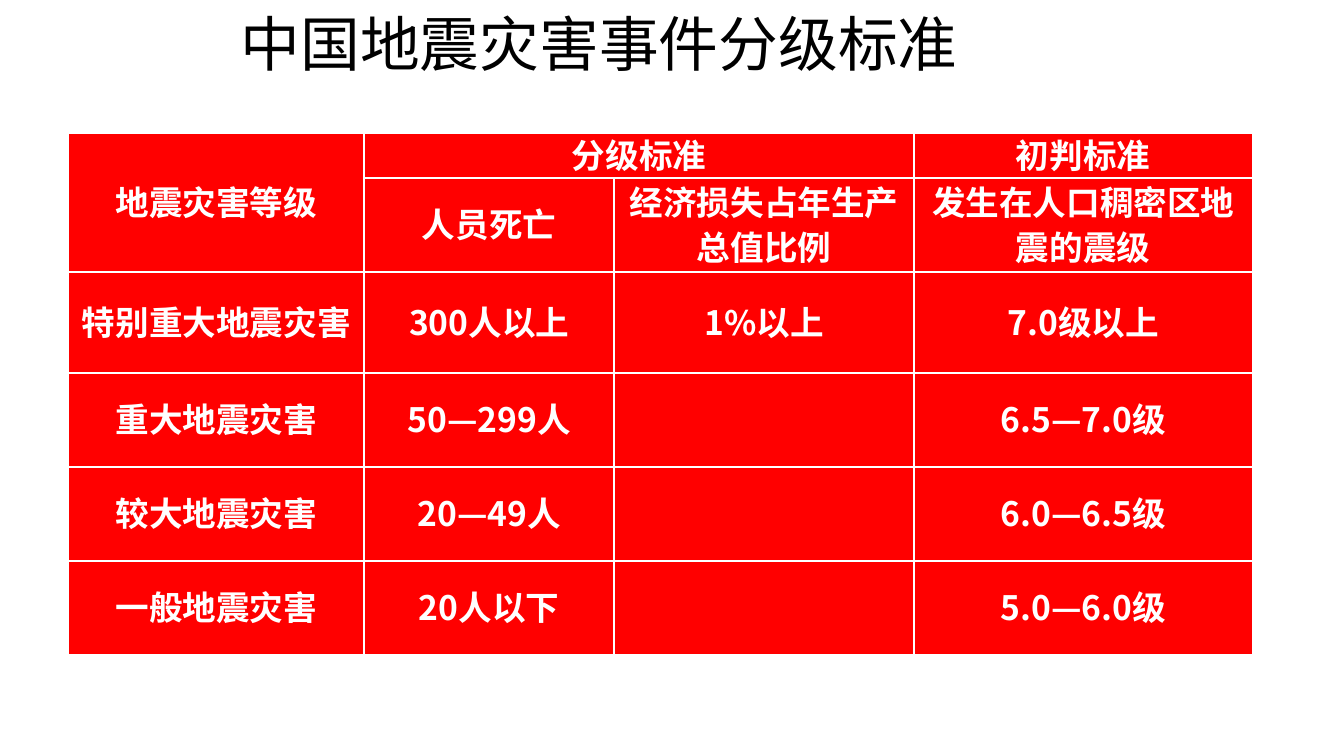
from lxml.etree import SubElement
from pptx import Presentation
from pptx.dml.color import RGBColor
from pptx.enum.text import MSO_ANCHOR as Anchor, MSO_AUTO_SIZE as AutoSize, PP_ALIGN as Align
from pptx.oxml.ns import qn
from pptx.util import Inches, Pt

RED = RGBColor(0xFF, 0, 0)
WHITE = RGBColor(0xFF, 0xFF, 0xFF)
BLACK = RGBColor(0, 0, 0)
CJK_FONT = "Noto Sans CJK SC"

SLIDE_WIDTH = Inches(10)
SLIDE_HEIGHT = SLIDE_WIDTH * 9 // 16
COLUMN_WIDTHS = [2.2, 1.86, 2.23, 2.52]
ROW_HEIGHTS = [0.32, 0.7, 0.75, 0.7, 0.7, 0.7]
ROWS = [
    ["地震灾害等级", "分级标准", "", "初判标准"],
    ["", "人员死亡", "经济损失占年生产总值比例", "发生在人口稠密区地震的震级"],
    ["特别重大地震灾害", "300人以上", "1%以上", "7.0级以上"],
    ["重大地震灾害", "50—299人", "", "6.5—7.0级"],
    ["较大地震灾害", "20—49人", "", "6.0—6.5级"],
    ["一般地震灾害", "20人以下", "", "5.0—6.0级"],
]


def set_attributes(target, values):
    for name, value in values.items():
        setattr(target, name, value)


def add_span(para, text, latin_font, size, color, bold=False):
    span = para.add_run()
    span.text = text
    set_attributes(span.font, {"name": latin_font, "size": Pt(size), "bold": bold})
    span.font.color.rgb = color
    east_asian = SubElement(span.font._element, qn("a:ea"))
    east_asian.set("typeface", CJK_FONT)


def set_title(slide, text):
    title = slide.shapes.title
    set_attributes(title, {"left": Inches(1.59), "top": Inches(0),
                           "width": Inches(5.69), "height": Inches(0.64)})
    set_attributes(title.text_frame, {
        "word_wrap": False, "auto_size": AutoSize.SHAPE_TO_FIT_TEXT,
        "vertical_anchor": Anchor.TOP, "margin_left": Inches(0.2),
        "margin_right": Inches(0.1), "margin_top": Inches(0.05),
        "margin_bottom": Inches(0.05)})
    para = title.text_frame.paragraphs[0]
    set_attributes(para, {"alignment": Align.LEFT, "line_spacing": 1.0})
    add_span(para, text, "Calibri", 32, BLACK)


def set_borders(cell, color, width):
    properties = cell._tc.get_or_add_tcPr()
    for side in ("lnL", "lnR", "lnT", "lnB"):
        line = SubElement(properties, qn(f"a:{side}"), w=str(Pt(width)))
        fill = SubElement(line, qn("a:solidFill"))
        SubElement(fill, qn("a:srgbClr"), val=str(color))


def format_cell(cell, text):
    set_borders(cell, WHITE, 1)
    cell.fill.solid()
    cell.fill.fore_color.rgb = RED
    set_attributes(cell, {"vertical_anchor": Anchor.MIDDLE,
                          "margin_left": Inches(0.08), "margin_right": Inches(0.08),
                          "margin_top": 0, "margin_bottom": 0})
    if text:
        para = cell.text_frame.paragraphs[0]
        set_attributes(para, {"alignment": Align.CENTER, "line_spacing": Pt(24)})
        add_span(para, text, CJK_FONT, 18, WHITE, bold=True)


def add_grading_table(slide):
    frame = slide.shapes.add_table(
        len(ROWS), len(COLUMN_WIDTHS), Inches(0.51), Inches(0.99),
        Inches(sum(COLUMN_WIDTHS)), Inches(sum(ROW_HEIGHTS)))
    table = frame.table
    for column, width in zip(table.columns, COLUMN_WIDTHS):
        column.width = Inches(width)
    for row, height, texts in zip(table.rows, ROW_HEIGHTS, ROWS):
        row.height = Inches(height)
        for cell, text in zip(row.cells, texts):
            format_cell(cell, text)
    table.cell(0, 0).merge(table.cell(1, 0))
    table.cell(0, 1).merge(table.cell(0, 2))


def main():
    deck = Presentation()
    set_attributes(deck, {"slide_width": SLIDE_WIDTH, "slide_height": SLIDE_HEIGHT})
    slide = deck.slides.add_slide(deck.slide_layouts.get_by_name("Title Only"))
    add_grading_table(slide)
    set_title(slide, "中国地震灾害事件分级标准")
    deck.save("out.pptx")


if __name__ == "__main__":
    main()
